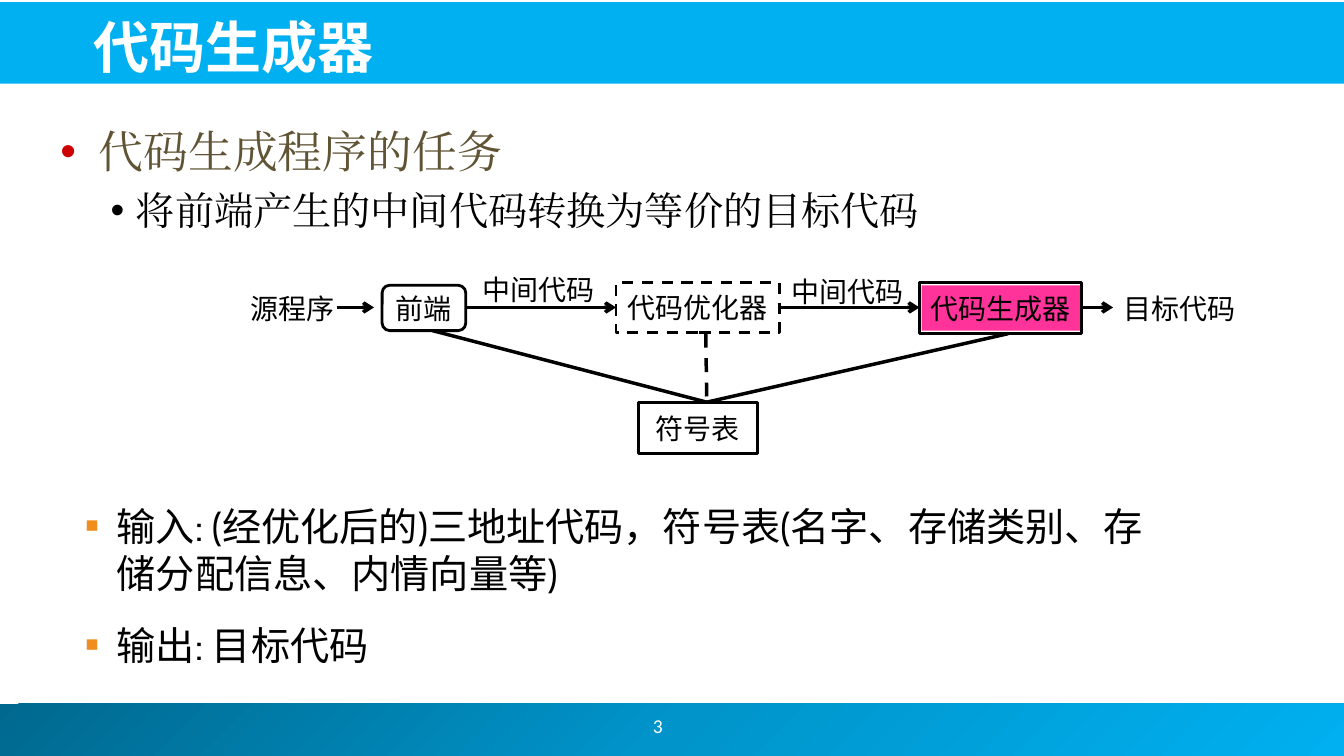
from copy import deepcopy
from pptx import Presentation
from pptx.util import Inches, Pt
from pptx.dml.color import RGBColor
from pptx.enum.dml import MSO_LINE as Dash
from pptx.enum.shapes import MSO_CONNECTOR as Conn, MSO_SHAPE as Shape
from pptx.enum.text import MSO_ANCHOR as Anchor, PP_ALIGN as Align
from pptx.oxml import parse_xml
from pptx.oxml.ns import nsdecls, qn

CJK = "Noto Sans CJK JP"


def color(code):
    return RGBColor.from_string(code)


def write(frame, text, size, font, code="000000", align=Align.LEFT, east="Cabin", para=None):
    para = para or frame.paragraphs[0]
    para.alignment = align
    run = para.add_run()
    run.text = text
    run.font.size = Pt(size)
    run.font.name = font
    run.font.color.rgb = color(code)
    run._r.get_or_add_rPr().find(qn("a:latin")).addnext(
        parse_xml(f'<a:ea {nsdecls("a")} typeface="{east}"/>'))
    return para


deck = Presentation()
deck.slide_width, deck.slide_height = Inches(13.33), Inches(7.5)
slide = deck.slides.add_slide(deck.slide_layouts[6])
shapes = slide.shapes

# Footer, header and highlight bars
bars = []
for x, y, w, h, code in [
    (-0.05, 6.98, 13.39, 0.52, None),
    (-0.02, 0.02, 13.36, 0.81, "00B0F0"),
    (9.14, 2.83, 1.58, 0.45, "FF3399"),
]:
    bar = shapes.add_shape(Shape.RECTANGLE, Inches(x), Inches(y), Inches(w), Inches(h))
    bar.shadow.inherit = False
    bar.line.fill.background()
    if code:
        bar.fill.solid()
        bar.fill.fore_color.rgb = color(code)
    else:
        bar.fill.gradient()
        bar.fill.gradient_angle = 315
        first = bar.fill._fill._gradFill.gsLst[0]
        first.addnext(deepcopy(first))
        stops = zip(bar.fill.gradient_stops, ("00688E", "0094CA", "00B0F0"))
        for i, (stop, tone) in enumerate(stops):
            stop.position = i / 2
            stop.color.rgb = color(tone)

# Title and page number
title = shapes.add_textbox(Inches(0.83), Inches(0.05), Inches(8.96), Inches(0.79)).text_frame
title.word_wrap = True
title.vertical_anchor = Anchor.BOTTOM
write(title, "代码生成器", 40, CJK, "FFFFFF").runs[0].font.bold = True
page = shapes.add_textbox(Inches(5.08), Inches(6.95), Inches(2.89), Inches(0.5)).text_frame
page.word_wrap = True
page.vertical_anchor = Anchor.MIDDLE
write(page, "3", 14, "Calibri", "FFFFFF", Align.CENTER, "Calibri")

# Bulleted text: box, then paragraphs as
# (text, size, font, color, margin, hang, mark, mark color, mark percent)
square = (28, "Cabin", "000000", 0.31, 0.31, "■", "EF8E1C", 55)
for box, items in [
    ((0.5, 1.18, 9, 1.39), [
        ("代码生成程序的任务", 32, "Times New Roman", "605435", 0.38, 0.38, "•", "CC0000", 100),
        ("将前端产生的中间代码转换为等价的目标代码", 28, "Times New Roman", "000000",
         0.75, 0.25, "•", "000000", 100)]),
    ((0.75, 4.93, 10.9, 1), [
        ("输入: (经优化后的)三地址代码，符号表(名字、存储类别、存储分配信息、内情向量等)", *square)]),
    ((0.75, 6.11, 8.58, 0.71), [("输出: 目标代码", *square)]),
]:
    frame = shapes.add_textbox(*map(Inches, box)).text_frame
    frame.word_wrap = True
    for i, (text, size, font, code, left, hang, mark, tone, scale) in enumerate(items):
        para = frame.add_paragraph() if i else frame.paragraphs[0]
        write(frame, text, size, font, code, east=font, para=para)
        if i:
            para.level = i
            para.space_before = Pt(6)
        props = para._p.get_or_add_pPr()
        props.set("marL", str(Inches(left)))
        props.set("indent", str(-Inches(hang)))
        for part in (
            f'<a:buClr {nsdecls("a")}><a:srgbClr val="{tone}"/></a:buClr>',
            f'<a:buSzPct {nsdecls("a")} val="{scale * 1000}"/>',
            f'<a:buFont {nsdecls("a")} typeface="Arial"/>',
            f'<a:buChar {nsdecls("a")} char="{mark}"/>',
        ):
            props.append(parse_xml(part))

# Diagram boxes
for text, kind, x, y, w, h, dash in [
    ("前端", Shape.ROUNDED_RECTANGLE, 3.79, 2.83, 0.83, 0.45, False),
    ("代码优化器", Shape.RECTANGLE, 6.11, 2.8, 1.62, 0.5, True),
    ("代码生成器", Shape.RECTANGLE, 9.12, 2.8, 1.61, 0.51, False),
    ("符号表", Shape.RECTANGLE, 6.33, 3.99, 1.18, 0.51, False),
]:
    node = shapes.add_shape(kind, Inches(x), Inches(y), Inches(w), Inches(h))
    node.shadow.inherit = False
    node.fill.background()
    node.line.color.rgb = color("000000")
    node.line.width = Pt(2)
    if dash:
        node.line.dash_style = Dash.DASH
    node.text_frame.word_wrap = False
    node.text_frame.vertical_anchor = Anchor.MIDDLE
    write(node.text_frame, text, 20, CJK, align=Align.CENTER)

# Diagram labels
for text, x, y, w, align in [
    ("源程序", 2.38, 2.84, 1.04, Align.CENTER),
    ("目标代码", 11.04, 2.84, 1.38, Align.LEFT),
    ("中间代码", 4.68, 2.65, 1.32, Align.CENTER),
    ("中间代码", 7.75, 2.67, 1.32, Align.CENTER),
]:
    label = shapes.add_textbox(Inches(x), Inches(y), Inches(w), Inches(0.44)).text_frame
    label.word_wrap = False
    write(label, text, 20, CJK, align=align)

# Flow arrows and links to the symbol table
flow, hub = 3.05, (7.01, 3.99)
spans = [(3.34, 3.71), (4.62, 6.11), (7.73, 9.12), (10.72, 11.04)]
links = [((a, flow), (b, flow), True, False) for a, b in spans]
links += [((4.29, 3.28), hub, False, False), ((7, 3.31), hub, False, True),
          ((10, 3.31), hub, False, False)]
for start, end, arrow, dash in links:
    link = shapes.add_connector(Conn.STRAIGHT, *map(Inches, start + end))
    link.line.color.rgb = color("000000")
    link.line.width = Pt(2.5)
    if dash:
        link.line.dash_style = Dash.DASH
    if arrow:
        link.line._get_or_add_ln().append(
            parse_xml(f'<a:tailEnd {nsdecls("a")} type="arrow"/>'))
    link._element.spPr.append(parse_xml(f'<a:effectLst {nsdecls("a")}/>'))

deck.save("out.pptx")
